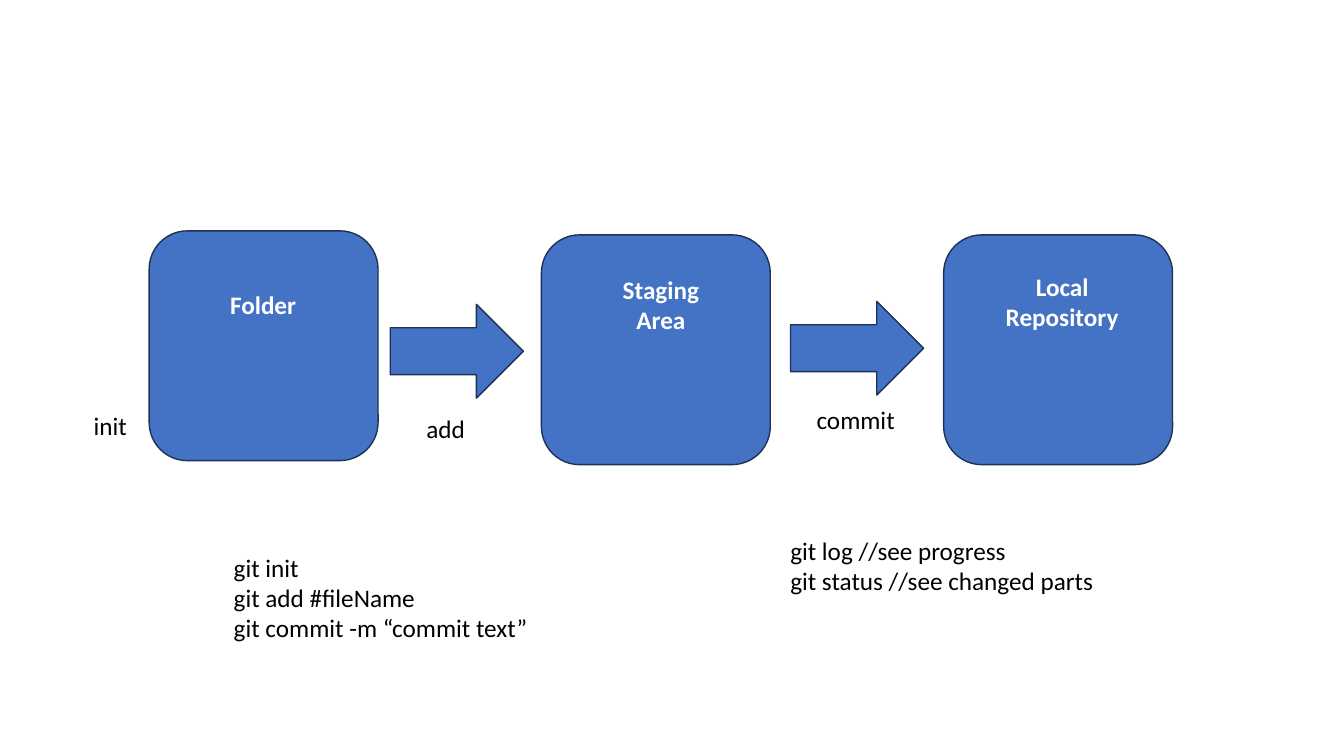
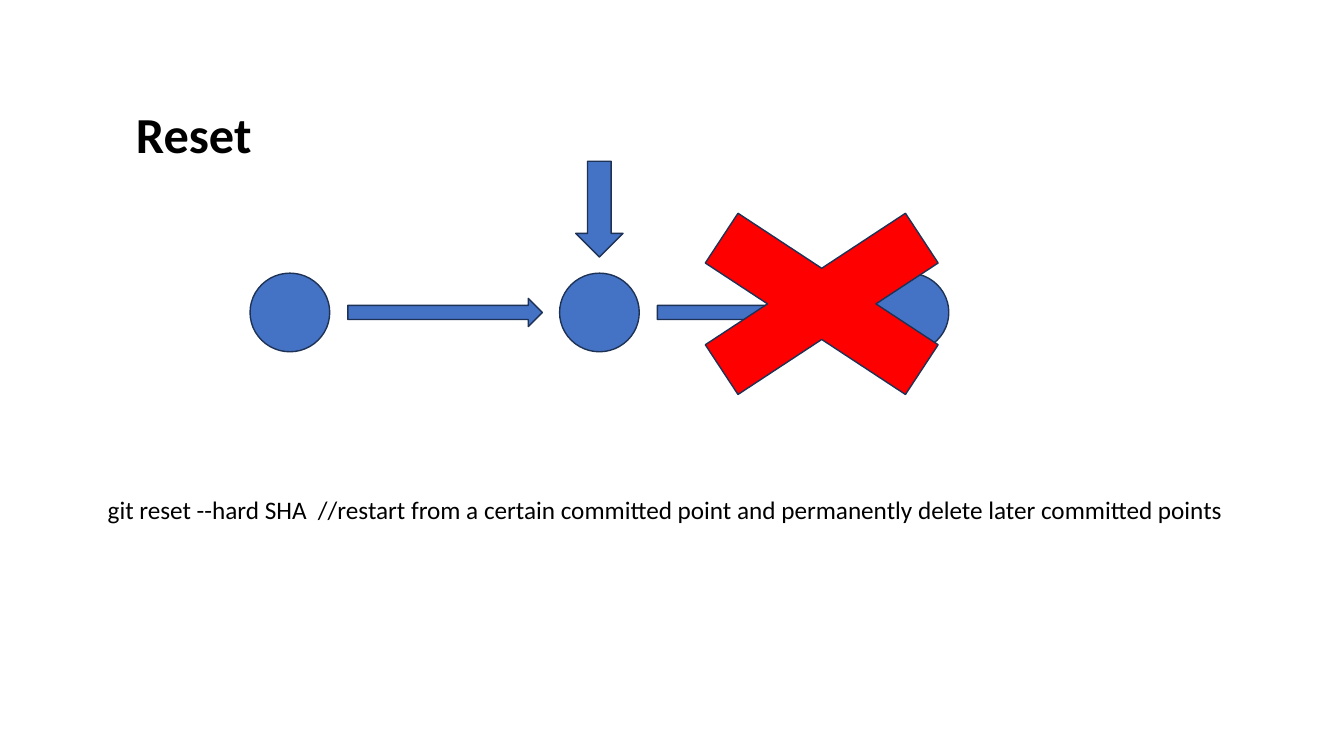
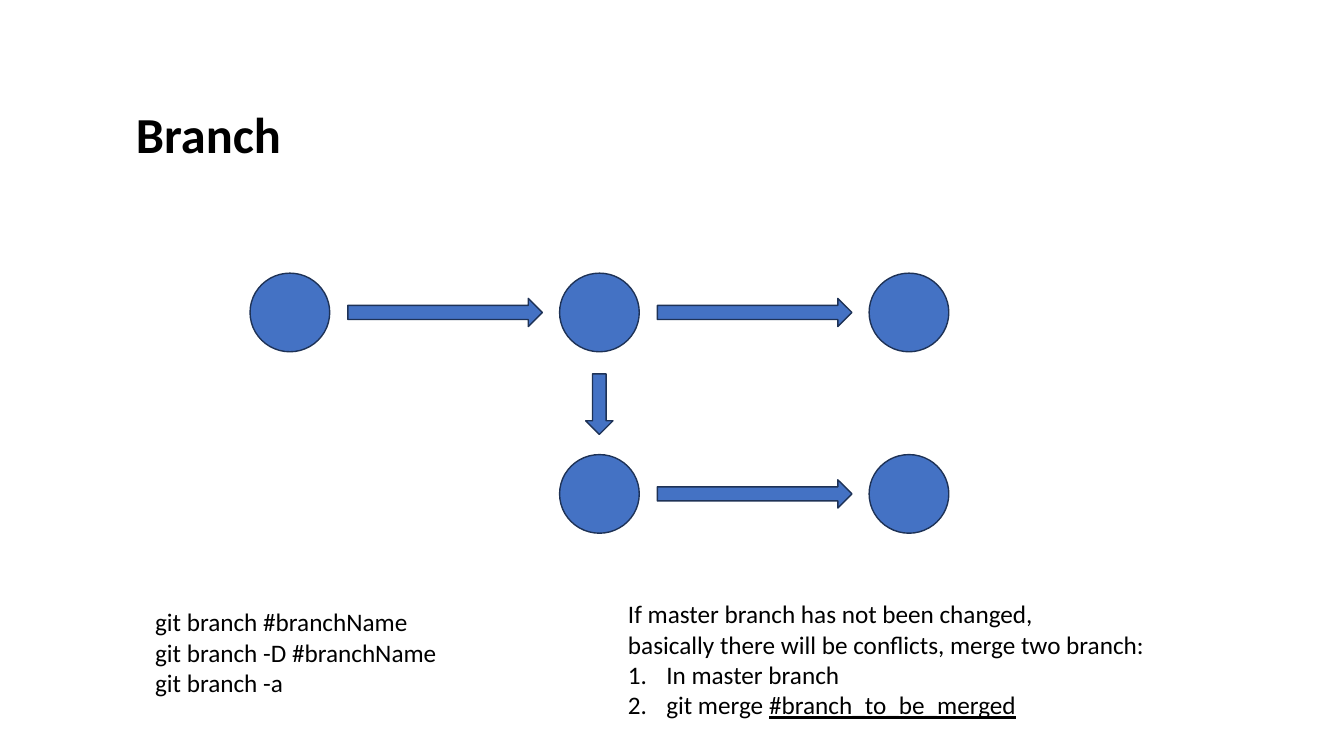
from dataclasses import dataclass

from lxml import etree
from pptx import Presentation
from pptx import util as u
from pptx.dml import color
from pptx.enum import shapes, text
from pptx.oxml import ns

COLOURS = {"blue": "4472C4", "outline": "1E3256", "red": "FF0000",
           "black": "000000", "white": "FFFFFF"}
FONT = "Calibri"
KIND = shapes.MSO_SHAPE
ALIGN = text.PP_ALIGN

COMMIT_LEFT, COMMIT_STEP = 2.48, 3.07
COMMIT_WIDTH, COMMIT_HEIGHT = 0.79, 0.78
MAIN_TOP, BRANCH_TOP = 2.71, 4.51


@dataclass(frozen=True)
class Figure:
    kind: KIND
    left: float
    top: float
    width: float
    height: float
    fill: str = "blue"


@dataclass(frozen=True)
class Line:
    words: str
    underlined: str = ""
    numbered: bool = False


@dataclass(frozen=True)
class Label:
    left: float
    top: float
    width: float
    height: float
    lines: tuple[Line, ...]
    size: int = 18
    colour: str = "black"
    bold: bool = False
    align: ALIGN = ALIGN.LEFT
    wrap: bool = False


def rgb(name: str) -> color.RGBColor:
    return color.RGBColor.from_string(COLOURS[name])


def lines(*words: str) -> tuple[Line, ...]:
    return tuple(Line(item) for item in words)


def draw_figure(page, figure: Figure) -> None:
    shape = page.shapes.add_shape(
        figure.kind, u.Inches(figure.left), u.Inches(figure.top),
        u.Inches(figure.width), u.Inches(figure.height))
    shape.shadow.inherit = False
    shape.fill.solid()
    shape.fill.fore_color.rgb = rgb(figure.fill)
    shape.line.color.rgb = rgb("outline")
    shape.line.width = u.Pt(1)


def number_paragraph(para) -> None:
    properties = para._p.get_or_add_pPr()
    indent = u.Inches(0.38)
    properties.set("marL", str(indent))
    properties.set("indent", str(-indent))
    etree.SubElement(properties, ns.qn("a:buFont"), typeface="+mj-lt")
    etree.SubElement(properties, ns.qn("a:buAutoNum"), type="arabicPeriod")


def draw_label(page, label: Label) -> None:
    box = page.shapes.add_textbox(
        u.Inches(label.left), u.Inches(label.top),
        u.Inches(label.width), u.Inches(label.height))
    frame = box.text_frame
    frame.word_wrap = label.wrap
    frame.auto_size = text.MSO_AUTO_SIZE.SHAPE_TO_FIT_TEXT
    for index, line in enumerate(label.lines):
        para = frame.add_paragraph() if index else frame.paragraphs[0]
        para.alignment = label.align
        para.add_run().text = line.words
        if line.underlined:
            span = para.add_run()
            span.text = line.underlined
            span.font.underline = True
        if line.numbered:
            number_paragraph(para)
        para.font.name = FONT
        para.font.size = u.Pt(label.size)
        para.font.bold = label.bold
        para.font.color.rgb = rgb(label.colour)


def draw_title(page, words: str) -> None:
    draw_label(page, Label(1.25, 0.97, 6.67, 0.71, lines(words),
                           size=36, bold=True, wrap=True))


def draw_commits(page, top: float, first: int = 0, last: int = 2) -> None:
    for column in range(first, last + 1):
        left = COMMIT_LEFT + column * COMMIT_STEP
        draw_figure(page, Figure(KIND.OVAL, left, top, COMMIT_WIDTH, COMMIT_HEIGHT))
        if column < last:
            draw_figure(page, Figure(KIND.RIGHT_ARROW, left + 0.97, top + 0.25, 1.93, 0.28))


def draw_all(page, figures: tuple[Figure, ...], labels: tuple[Label, ...]) -> None:
    for figure in figures:
        draw_figure(page, figure)
    for label in labels:
        draw_label(page, label)


def stage(left: float, top: float) -> Figure:
    return Figure(KIND.ROUNDED_RECTANGLE, left, top, 2.27, 2.28)


def stage_name(left: float, top: float, width: float, height: float, *words: str) -> Label:
    return Label(left, top, width, height, lines(*words), colour="white",
                 bold=True, align=ALIGN.CENTER)


def build_workflow(page) -> None:
    draw_all(page, (
        stage(1.48, 2.29),
        stage(5.37, 2.33),
        stage(9.36, 2.33),
        Figure(KIND.RIGHT_ARROW, 3.87, 3.02, 1.32, 0.93),
        Figure(KIND.RIGHT_ARROW, 7.84, 2.99, 1.32, 0.93),
    ), (
        stage_name(2.18, 2.82, 0.86, 0.4, "Folder"),
        stage_name(6.07, 2.67, 0.97, 0.71, "Staging", "Area"),
        stage_name(9.87, 2.64, 1.33, 0.71, "Local", "Repository"),
        Label(4.13, 4.05, 0.59, 0.4, lines("add")),
        Label(8, 3.96, 0.99, 0.4, lines("commit")),
        Label(0.83, 4.02, 0.54, 0.4, lines("init")),
        Label(2.22, 5.43, 3.14, 1.01, lines(
            "git init", "git add #fileName", "git commit -m “commit text”")),
        Label(7.74, 5.26, 3.24, 1.01, lines(
            "git log //see progress", "git status //see changed parts")),
    ))


def build_reset(page) -> None:
    draw_title(page, "Reset")
    draw_commits(page, MAIN_TOP)
    draw_all(page, (
        Figure(KIND.MATH_MULTIPLY, 6.24, 1.76, 3.82, 2.51, "red"),
        Figure(KIND.DOWN_ARROW, 5.71, 1.6, 0.47, 0.95),
    ), (
        Label(0.97, 4.86, 11.4, 0.4, lines(
            "git reset --hard SHA  //restart from a certain committed point "
            "and permanently delete later committed points")),
    ))


def build_branch(page) -> None:
    draw_title(page, "Branch")
    draw_commits(page, MAIN_TOP)
    draw_commits(page, BRANCH_TOP, first=1)
    draw_all(page, (
        Figure(KIND.DOWN_ARROW, 5.81, 3.71, 0.27, 0.6),
    ), (
        Label(1.44, 5.97, 3.03, 1.01, lines(
            "git branch #branchName", "git branch -D #branchName", "git branch -a")),
        Label(6.13, 5.89, 5.38, 1.31, (
            Line("If master branch has not been changed, "),
            Line("basically there will be conflicts, merge two branch:"),
            Line("In master branch", numbered=True),
            Line("git merge ", underlined="#branch_to_be_merged", numbered=True),
        )),
    ))


def main() -> None:
    deck = Presentation()
    deck.slide_width = u.Inches(13.33)
    deck.slide_height = u.Inches(7.5)
    for build in (build_workflow, build_reset, build_branch):
        build(deck.slides.add_slide(deck.slide_layouts[6]))
    deck.save("out.pptx")


main()
